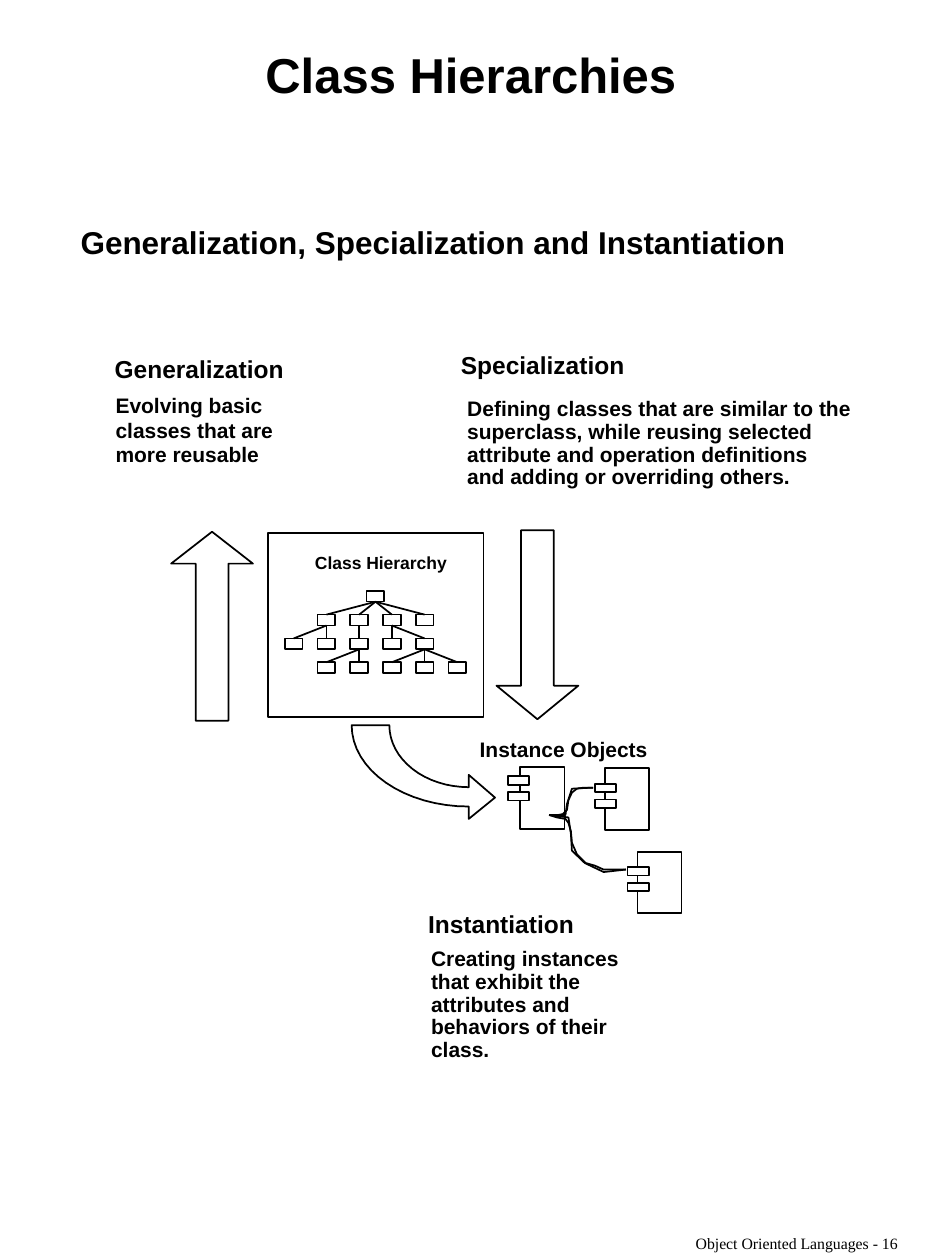
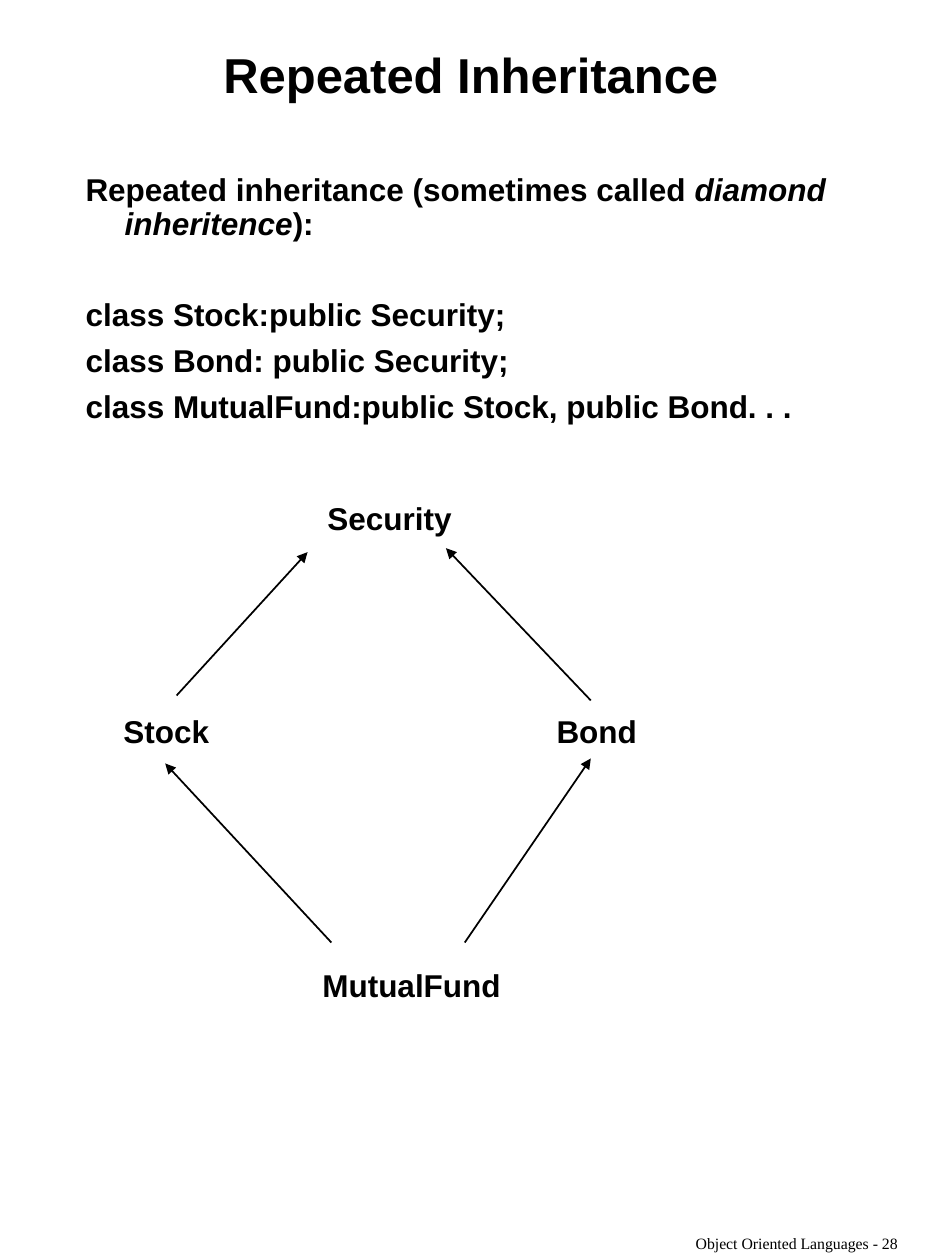
from dataclasses import dataclass
from math import cos, pi, sin

from lxml import etree
from pptx import Presentation
from pptx.dml.color import RGBColor
from pptx.enum.shapes import MSO_CONNECTOR, MSO_SHAPE
from pptx.enum.text import MSO_ANCHOR, MSO_AUTO_SIZE, PP_ALIGN
from pptx.oxml.ns import qn
from pptx.util import Cm, Pt

STRAIGHT = MSO_CONNECTOR.STRAIGHT
RECTANGLE = MSO_SHAPE.RECTANGLE
UP_ARROW, DOWN_ARROW = MSO_SHAPE.UP_ARROW, MSO_SHAPE.DOWN_ARROW
MIDDLE = MSO_ANCHOR.MIDDLE
FIXED_SIZE, GROW = MSO_AUTO_SIZE.NONE, MSO_AUTO_SIZE.SHAPE_TO_FIT_TEXT
LEFT, CENTER = PP_ALIGN.LEFT, PP_ALIGN.CENTER


@dataclass(frozen=True)
class Theme:
    ink: RGBColor = RGBColor(0, 0, 0)
    paper: RGBColor = RGBColor(255, 255, 255)
    font: str = "Arial"
    footer_font: str = "Times New Roman"
    title_size: int = 28
    body_size: int = 18
    heading_size: int = 14
    text_size: int = 12
    caption_size: int = 10
    footer_size: int = 9
    line_width: int = 1
    line_spacing: float = 0.9
    hanging: float = 0.79


class Page:
    """The theme and the slide being drawn; all lengths are in centimetres."""

    def __init__(self, deck, theme, title, number):
        self.theme = theme
        self.slide = deck.slides.add_slide(deck.slide_layouts[1])
        self.shapes = self.slide.shapes
        self.title(title)
        self.footer(f"Object Oriented Languages - {number}")

    def place(self, shape, left, top, width, height):
        shape.left, shape.top = Cm(left), Cm(top)
        shape.width, shape.height = Cm(width), Cm(height)

    def style(self, paragraph, size, align=LEFT, spacing=None, before=0,
              font=None, bold=True):
        paragraph.alignment = align
        paragraph.line_spacing = spacing or self.theme.line_spacing
        paragraph.space_before = Pt(before)
        for span in paragraph.runs:
            span.font.name = font or self.theme.font
            span.font.size = Pt(size)
            span.font.bold = bold
            span.font.color.rgb = self.theme.ink

    def title(self, text):
        box = self.slide.shapes.title
        self.place(box, 2.06, 0.79, 14.86, 1.55)
        frame = box.text_frame
        frame.text = text
        frame.vertical_anchor = MIDDLE
        frame.auto_size = FIXED_SIZE
        self.style(frame.paragraphs[0], self.theme.title_size, CENTER)

    def body(self, left, top, items):
        """Fill the list from (text, space before); *text* is italic."""
        box = self.slide.placeholders[1]
        self.place(box, left, top, 15.88, 20.75)
        frame = box.text_frame
        frame.auto_size = FIXED_SIZE
        for index, (text, before) in enumerate(items):
            paragraph = frame.add_paragraph() if index else frame.paragraphs[0]
            for part, words in enumerate(text.split("*")):
                span = paragraph.add_run()
                span.text = words
                span.font.italic = part % 2 == 1
            self.style(paragraph, self.theme.body_size, before=before)
            properties = paragraph._p.get_or_add_pPr()
            properties.set("marL", str(Cm(self.theme.hanging)))
            properties.set("indent", str(-Cm(self.theme.hanging)))
            etree.SubElement(properties, qn("a:buNone"))

    def footer(self, text):
        box = self.shapes.add_textbox(Cm(13.56), Cm(24.79), Cm(5), Cm(0.58))
        box.text_frame.word_wrap = True
        box.text_frame.text = text
        self.style(box.text_frame.paragraphs[0], self.theme.footer_size, CENTER,
                   font=self.theme.footer_font, bold=False)

    def label(self, left, top, width, height, text, size, spacing=None, before=0):
        box = self.shapes.add_textbox(Cm(left), Cm(top), Cm(width), Cm(height))
        frame = box.text_frame
        frame.word_wrap = False
        frame.auto_size = GROW
        frame.text = text
        for index, paragraph in enumerate(frame.paragraphs):
            self.style(paragraph, size, spacing=spacing,
                       before=before if index else 0)

    def outline(self, shape, filled=False):
        shape.shadow.inherit = False
        if filled:
            shape.fill.solid()
            shape.fill.fore_color.rgb = self.theme.paper
        else:
            shape.fill.background()
        shape.line.color.rgb = self.theme.ink
        shape.line.width = Pt(self.theme.line_width)

    def shape(self, kind, left, top, width, height, filled=False, adjustments=()):
        shape = self.shapes.add_shape(kind, Cm(left), Cm(top), Cm(width), Cm(height))
        for index, value in enumerate(adjustments):
            shape.adjustments[index] = value
        self.outline(shape, filled)

    def polyline(self, points, closed=False):
        corners = [(Cm(x), Cm(y)) for x, y in points]
        builder = self.shapes.build_freeform(*corners[0])
        builder.add_line_segments(corners[1:], close=closed)
        self.outline(builder.convert_to_shape())

    def line(self, start, end, arrow_at_start=False):
        line = self.shapes.add_connector(
            STRAIGHT, Cm(start[0]), Cm(start[1]), Cm(end[0]), Cm(end[1]))
        line.line.color.rgb = self.theme.ink
        line.line.width = Pt(self.theme.line_width)
        if arrow_at_start:
            etree.SubElement(line.line._get_or_add_ln(), qn("a:headEnd"),
                             type="triangle")
        etree.SubElement(line._element.spPr, qn("a:effectLst"))

    def start_group(self):
        self.shapes = self.slide.shapes.add_group_shape().shapes

    def end_group(self):
        self.shapes = self.slide.shapes


def draw_class_tree(page):
    width, height = 0.36, 0.22
    children = {
        (0, 2.5): [(1, 1), (1, 2), (1, 3), (1, 4)],
        (1, 1): [(2, 0), (2, 1)],
        (1, 2): [(2, 2)],
        (1, 3): [(2, 3), (2, 4)],
        (2, 2): [(3, 1), (3, 2)],
        (2, 4): [(3, 3), (3, 4), (3, 5)],
    }

    def corner(node):
        row, column = node
        return 5.74 + 0.66 * column, 11.91 + 0.48 * row

    page.start_group()
    nodes = [(0, 2.5)] + [node for group in children.values() for node in group]
    for node in nodes:
        page.shape(RECTANGLE, *corner(node), width, height, filled=True)
    for parent, group in children.items():
        left, top = corner(parent)
        for child in group:
            child_left, child_top = corner(child)
            page.line((left + width / 2, top + height),
                      (child_left + width / 2, child_top))
    page.end_group()


def draw_curved_arrow(page):
    steps = 16

    def quarter(radius_x, radius_y):
        angles = [pi / 2 * step / steps for step in range(steps + 1)]
        return [(9.45 - radius_x * cos(angle), 14.62 + radius_y * sin(angle))
                for angle in angles]

    head = [(9.45, 15.62), (9.98, 16.08), (9.45, 16.51)]
    page.polyline(quarter(1.6, 1.25) + head + quarter(2.36, 1.64)[::-1], closed=True)


def draw_instances(page):
    instances = [(10.49, 15.47, 0.25, 0.18), (12.19, 15.49, 0.2, 0.31),
                 (12.85, 17.17, 0.2, 0.31)]
    for left, top, overhang, first_tab in instances:
        page.shape(RECTANGLE, left, top, 0.89, 1.24)
        for tab in range(2):
            page.shape(RECTANGLE, left - overhang, top + first_tab + 0.32 * tab,
                       0.43, 0.17, filled=True)
    link_start = (11.07, 16.43)
    links = [
        [(11.46, 16.48), (11.51, 16.81), (11.53, 17.15), (11.79, 17.4),
         (12.17, 17.58), (12.62, 17.53)],
        [(11.23, 16.48), (11.4, 16.51), (11.46, 16.59), (11.51, 16.76),
         (11.53, 16.99), (11.63, 17.22), (11.81, 17.4), (11.99, 17.45),
         (12.17, 17.53), (12.62, 17.53)],
        [(11.4, 16.43), (11.43, 16.21), (11.53, 15.9), (11.91, 15.88),
         (11.96, 15.88)],
        [(11.25, 16.43), (11.35, 16.41), (11.43, 16.33), (11.46, 16.13),
         (11.53, 15.98), (11.63, 15.9), (11.76, 15.88), (11.96, 15.88)],
    ]
    for points in links:
        page.polyline([link_start] + points)


def build_hierarchies(deck, theme):
    page = Page(deck, theme, "Class Hierarchies", 16)
    page.body(1.37, 4.45, [("Generalization, Specialization and Instantiation", 0)])

    page.label(2.06, 7.07, 4.2, 0.79, "Generalization", theme.heading_size)
    page.label(2.08, 7.85, 4.1, 1.7,
               "Evolving basic\nclasses that are\nmore reusable",
               theme.text_size, before=1)
    page.label(9.04, 6.99, 4.1, 0.79, "Specialization", theme.heading_size)
    page.label(9.17, 7.91, 8.6, 2.13,
               "Defining classes that are similar to the\n"
               "superclass, while reusing selected\n"
               "attribute and operation definitions\n"
               "and adding or overriding others.", theme.text_size)
    page.label(8.38, 18.27, 3.7, 0.79, "Instantiation", theme.heading_size)
    page.label(8.44, 19, 4.7, 2.54,
               "Creating instances\nthat exhibit the\nattributes and\n"
               "behaviors of their\nclass.", theme.text_size)

    page.shape(UP_ARROW, 3.45, 10.72, 1.65, 3.81, adjustments=(0.4, 0.39))
    page.shape(DOWN_ARROW, 10.01, 10.69, 1.65, 3.81, adjustments=(0.4, 0.41))
    page.shape(RECTANGLE, 5.41, 10.74, 4.34, 3.71)
    page.label(6.1, 11.05, 3.5, 0.64, "Class Hierarchy", theme.caption_size)
    draw_class_tree(page)
    draw_curved_arrow(page)
    page.label(9.42, 14.78, 4.2, 0.71, "Instance Objects", theme.text_size)
    draw_instances(page)


def build_repeated_inheritance(deck, theme):
    page = Page(deck, theme, "Repeated Inheritance", 28)
    page.body(1.47, 3.38, [
        ("Repeated inheritance (sometimes called *diamond inheritence*):", 0),
        ("class Stock:public Security;", 32.8),
        ("class Bond: public Security;", 6.8),
        ("class MutualFund:public Stock, public Bond. . .", 6.8),
    ])
    classes = [("Security", 6.35, 9.93, 3.3), ("Stock", 2.24, 14.22, 2.5),
               ("Bond", 10.97, 14.22, 2.4), ("MutualFund", 6.25, 19.35, 4.4)]
    for name, left, top, width in classes:
        page.label(left, top, width, 1.02, name, theme.body_size, spacing=1.0)
    inheritance = [((6.2, 11.13), (3.56, 14.02)), ((8.99, 11.05), (11.91, 14.12)),
                   ((3.33, 15.39), (6.68, 19)), ((11.91, 15.29), (9.37, 19))]
    for base, derived in inheritance:
        page.line(base, derived, arrow_at_start=True)


def main():
    deck = Presentation()
    deck.slide_width, deck.slide_height = Cm(19.05), Cm(25.4)
    theme = Theme()
    build_hierarchies(deck, theme)
    build_repeated_inheritance(deck, theme)
    deck.save("out.pptx")


if __name__ == "__main__":
    main()
